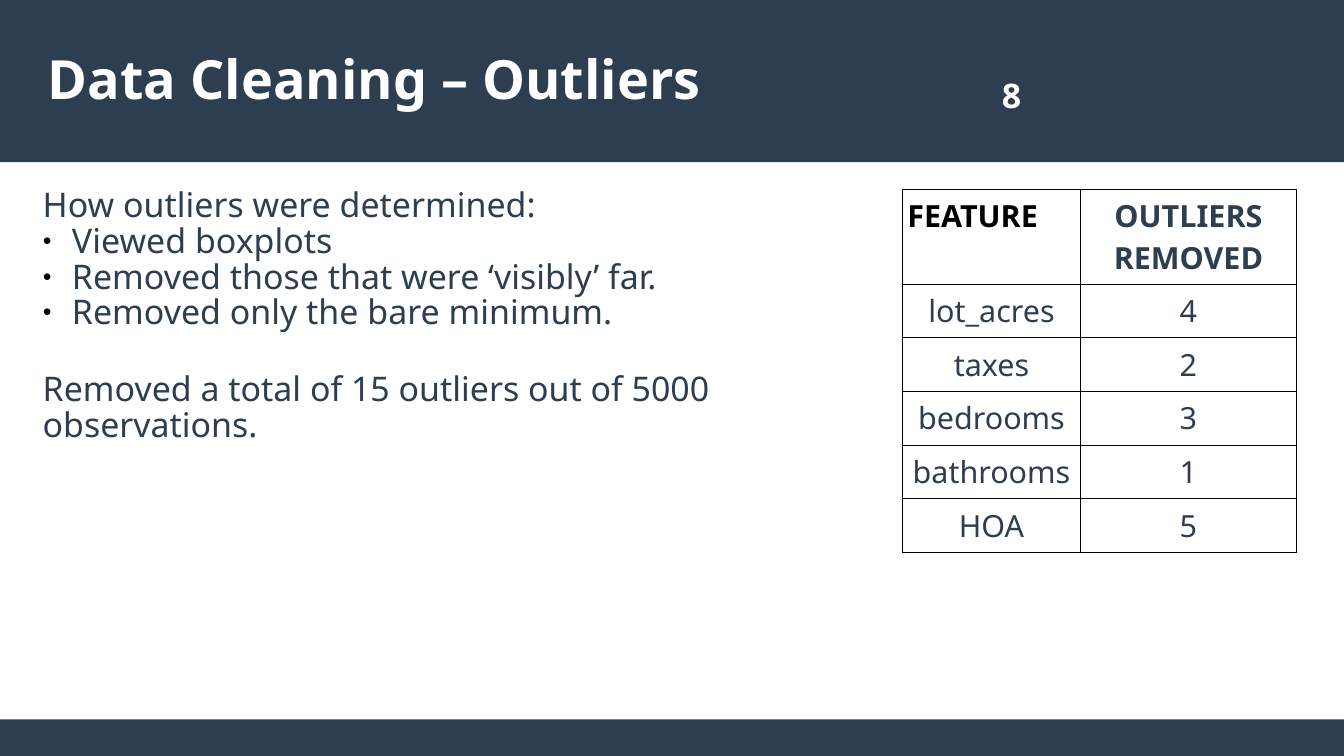
"""Build the slide on outliers removed during data cleaning."""
from dataclasses import dataclass

from lxml.etree import SubElement
from pptx import Presentation
from pptx.dml.color import RGBColor
from pptx.enum.shapes import MSO_SHAPE as Shape
from pptx.enum.text import MSO_ANCHOR as Anchor, MSO_AUTO_SIZE as AutoSize, PP_ALIGN as Align
from pptx.oxml.ns import qn
from pptx.util import Inches, Pt

TITLE = "Data Cleaning – Outliers"
PAGE_NUMBER = "8"
INTRO = "How outliers were determined:"
STEPS = ["Viewed boxplots", "Removed those that were ‘visibly’ far.", "Removed only the bare minimum."]
SUMMARY = "Removed a total of 15 outliers out of 5000 observations."
HEADER = ("FEATURE", "OUTLIERS REMOVED")
OUTLIERS = [("lot_acres", 4), ("taxes", 2), ("bedrooms", 3), ("bathrooms", 1), ("HOA", 5)]

SLIDE_WIDTH, SLIDE_HEIGHT = 11.02, 6.2
HEADER_HEIGHT, FOOTER_HEIGHT = 1.33, 0.3
COLUMN_WIDTHS = (1.46, 1.77)
HEADER_ROW, BODY_ROW = 0.78, 0.44
BULLET_INDENT = 0.24


@dataclass(frozen=True)
class Theme:
    """Colours, font and type sizes of the slide."""
    navy: str = "2C3E50"
    white: str = "FFFFFF"
    black: str = "000000"
    font: str = "Noto Sans"
    title: float = 31.9
    body: float = 20
    table: float = 18
    border: float = 0.57
    line_spacing: float = 0.88


THEME = Theme()


def style(paragraph, size, color, bold=False, align=Align.LEFT):
    """Set the font and alignment of a paragraph."""
    paragraph.alignment = align
    font = paragraph.font
    font.name, font.size, font.bold = THEME.font, Pt(size), bold
    font.color.rgb = RGBColor.from_string(color)


def place(shape, left, top, width, height):
    """Move and size a shape, in inches."""
    shape.left, shape.top = Inches(left), Inches(top)
    shape.width, shape.height = Inches(width), Inches(height)


def add_band(slide, top, height):
    """Add a full-width band behind the text."""
    band = slide.shapes.add_shape(Shape.RECTANGLE, 0, Inches(top), Inches(SLIDE_WIDTH), Inches(height))
    band.shadow.inherit = False
    band.fill.solid()
    band.fill.fore_color.rgb = RGBColor.from_string(THEME.navy)
    band.line.fill.background()
    band.element.getparent().insert(2, band.element)


def set_bullet(paragraph, bulleted):
    """Give a paragraph a small black bullet, or none."""
    properties = paragraph._p.get_or_add_pPr()
    indent = Inches(BULLET_INDENT) if bulleted else 0
    properties.set("marL", str(indent))
    properties.set("indent", str(-indent))
    if bulleted:
        color = SubElement(properties, qn("a:buClr"))
        SubElement(color, qn("a:srgbClr"), val=THEME.black)
        SubElement(properties, qn("a:buSzPct"), val="45000")
        SubElement(properties, qn("a:buChar"), char="●")
    else:
        SubElement(properties, qn("a:buNone"))


def set_borders(cell):
    """Draw a thin black line on each side of a cell."""
    properties = cell._tc.get_or_add_tcPr()
    for index, side in enumerate(("a:lnL", "a:lnR", "a:lnT", "a:lnB")):
        line = properties.makeelement(qn(side), {"w": str(Pt(THEME.border))})
        SubElement(SubElement(line, qn("a:solidFill")), qn("a:srgbClr"), val=THEME.black)
        properties.insert(index, line)


def fill_title(slide):
    """Write the title and the page number."""
    title = slide.shapes.title
    place(title, 0.39, 0.34, 10.23, 0.6)
    frame = title.text_frame
    frame.text = TITLE
    frame.vertical_anchor, frame.auto_size = Anchor.MIDDLE, AutoSize.NONE
    frame.margin_left = frame.margin_right = frame.margin_top = frame.margin_bottom = 0
    style(frame.paragraphs[0], THEME.title, THEME.white, bold=True)

    number = slide.shapes.add_textbox(Inches(5.84), Inches(0.55), Inches(4.91), Inches(0.45)).text_frame
    number.text = PAGE_NUMBER
    number.word_wrap, number.vertical_anchor = True, Anchor.MIDDLE
    style(number.paragraphs[0], THEME.body, THEME.white, bold=True, align=Align.CENTER)


def fill_body(slide):
    """Write the list of steps and the summary."""
    body = slide.placeholders[1]
    place(body, 0.25, 1.5, 6.75, 3)
    frame = body.text_frame
    frame.text = "\n".join([INTRO, *STEPS, SUMMARY])
    frame.vertical_anchor, frame.auto_size = Anchor.TOP, AutoSize.NONE
    for paragraph in frame.paragraphs:
        set_bullet(paragraph, paragraph.text in STEPS)
        paragraph.line_spacing = THEME.line_spacing
        paragraph.space_before = Pt(24 if paragraph.text == SUMMARY else 0)
        style(paragraph, THEME.body, THEME.navy)


def add_outlier_table(slide):
    """Add the table of outliers removed per feature."""
    rows = [HEADER, *OUTLIERS]
    heights = [HEADER_ROW] + [BODY_ROW] * len(OUTLIERS)
    frame = slide.shapes.add_table(len(rows), len(HEADER), Inches(7.4), Inches(1.55),
                                   Inches(sum(COLUMN_WIDTHS)), Inches(sum(heights)))
    table = frame.table
    table.first_row = table.horz_banding = False
    for column, width in zip(table.columns, COLUMN_WIDTHS):
        column.width = Inches(width)
    for row, height, values in zip(table.rows, heights, rows):
        row.height = Inches(height)
        for cell, value in zip(row.cells, values):
            cell.text = str(value)
            cell.margin_left = cell.margin_right = Inches(0.04)
            cell.fill.background()
            set_borders(cell)
            is_feature = value == HEADER[0]
            style(cell.text_frame.paragraphs[0], THEME.table,
                  THEME.black if is_feature else THEME.navy,
                  bold=values is HEADER, align=Align.LEFT if is_feature else Align.CENTER)


def main():
    """Build and save the presentation."""
    presentation = Presentation()
    presentation.slide_width, presentation.slide_height = Inches(SLIDE_WIDTH), Inches(SLIDE_HEIGHT)
    slide = presentation.slides.add_slide(presentation.slide_layouts[1])
    add_band(slide, 0, HEADER_HEIGHT)
    add_band(slide, SLIDE_HEIGHT - FOOTER_HEIGHT, FOOTER_HEIGHT)
    fill_title(slide)
    add_outlier_table(slide)
    fill_body(slide)
    presentation.save("out.pptx")


if __name__ == "__main__":
    main()
